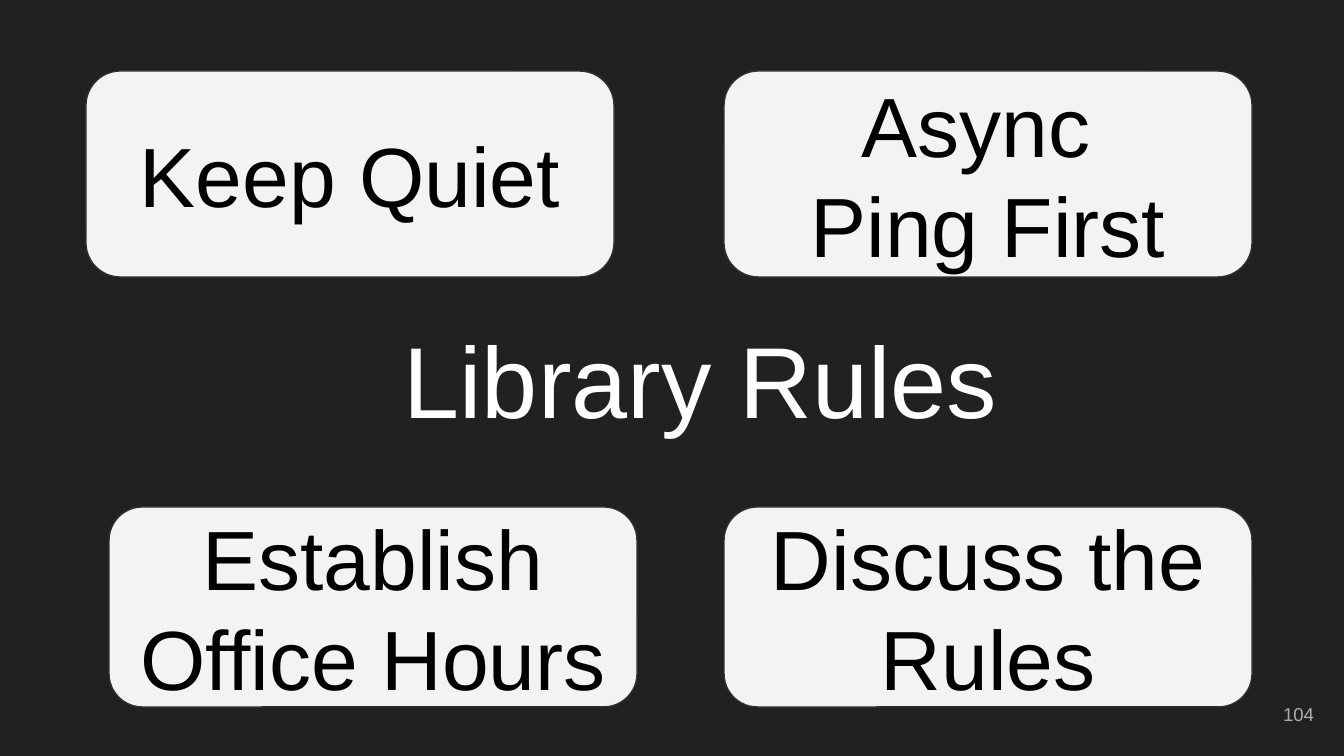
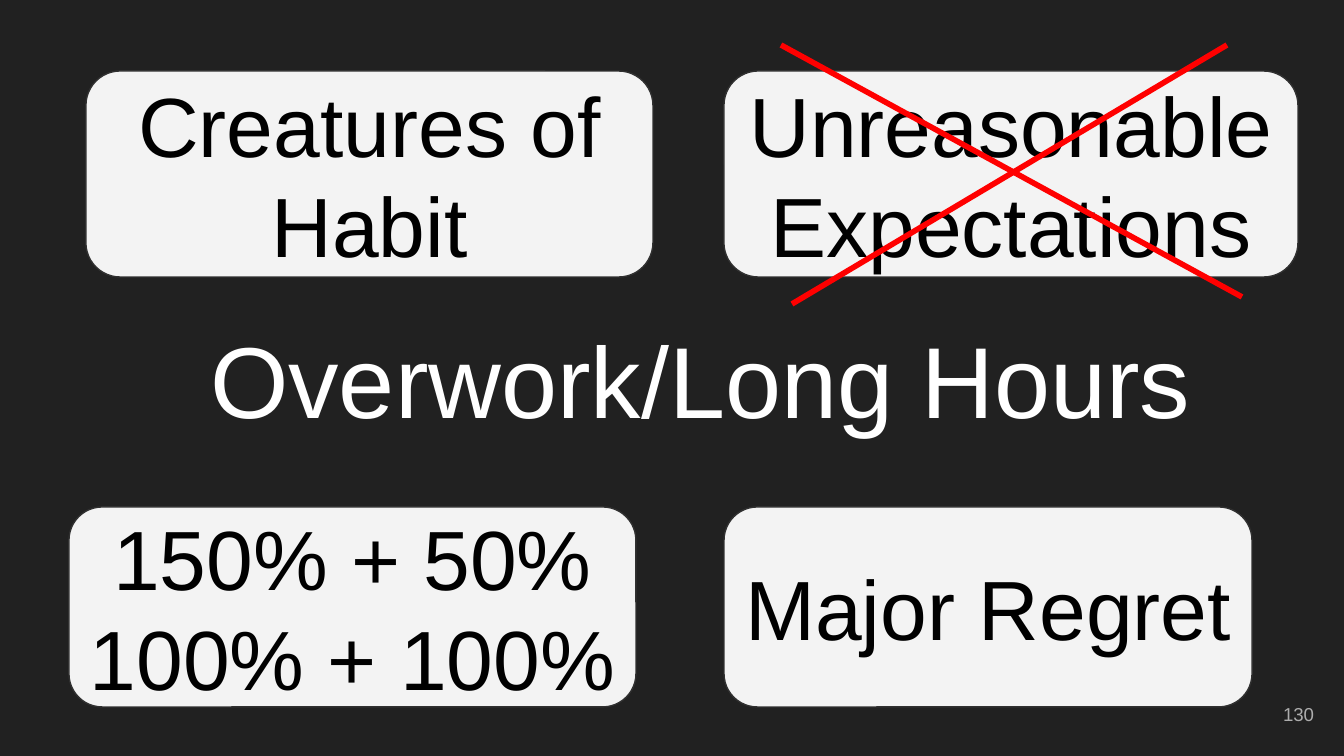
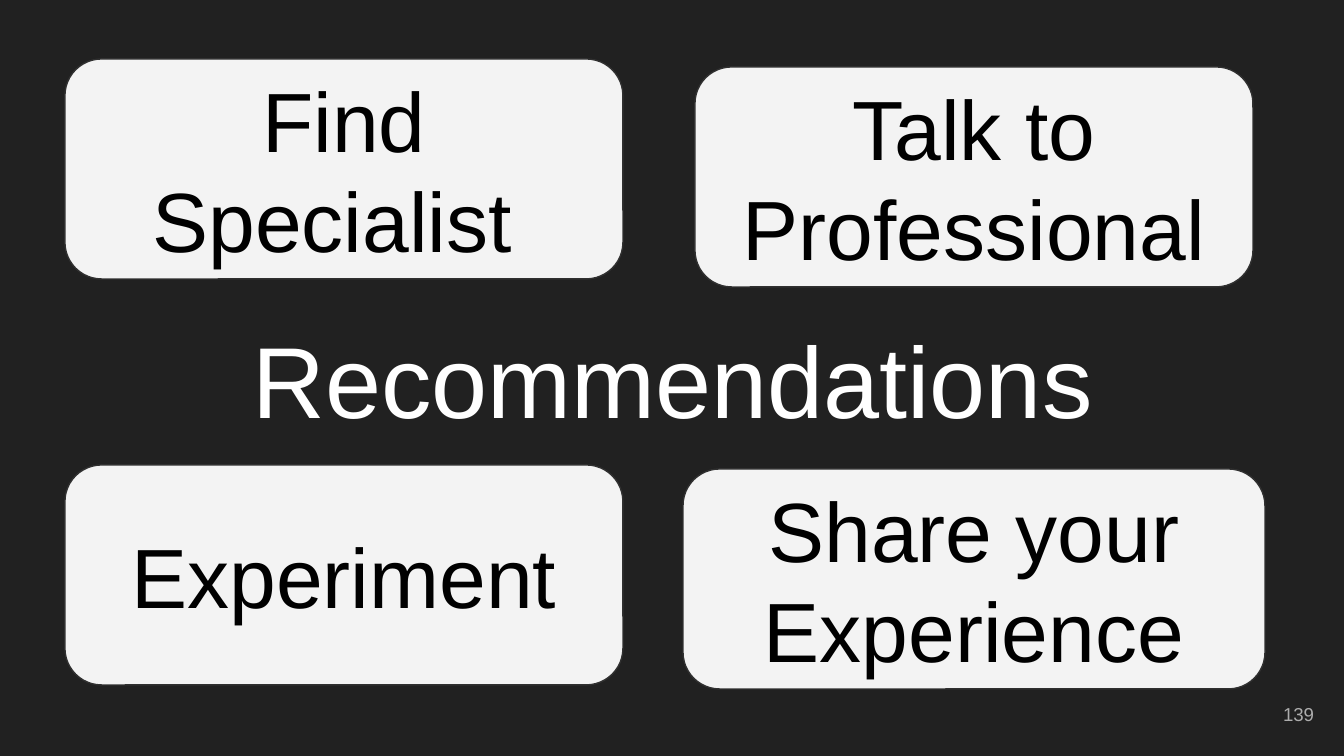
"""Build three dark slides, each a central title among four rounded cards."""

from dataclasses import dataclass

from pptx import Presentation
from pptx.dml.color import RGBColor
from pptx.enum.shapes import MSO_CONNECTOR, MSO_SHAPE
from pptx.enum.text import MSO_ANCHOR, PP_ALIGN
from pptx.oxml.ns import qn
from pptx.slide import Slide
from pptx.text.text import TextFrame
from pptx.util import Emu, Pt
from lxml import etree

ROUNDED = MSO_SHAPE.ROUNDED_RECTANGLE
STRAIGHT = MSO_CONNECTOR.STRAIGHT
MIDDLE = MSO_ANCHOR.MIDDLE
CENTER = PP_ALIGN.CENTER
RIGHT = PP_ALIGN.RIGHT

EMU_PER_PIXEL = 914400 / 134.4
SLIDE_WIDTH, SLIDE_HEIGHT = 1344, 756
BLANK_LAYOUT = 6
CARD_INSET, TEXT_INSET = 10, 13


@dataclass(frozen=True)
class Theme:
    font: str = "Arial"
    background: str = "212121"
    card_fill: str = "F3F3F3"
    card_line: str = "303030"
    card_text: str = "000000"
    title_text: str = "FFFFFF"
    number_text: str = "ADADAD"
    strike: str = "FF0000"
    card_size: int = 45
    title_size: int = 54
    number_size: int = 10
    card_line_width: float = 0.75
    strike_width: int = 3


@dataclass(frozen=True)
class Box:
    left: int
    top: int
    width: int
    height: int


@dataclass(frozen=True)
class Card:
    box: Box
    lines: tuple[str, ...]


@dataclass(frozen=True)
class Strike:
    start: tuple[int, int]
    end: tuple[int, int]


@dataclass(frozen=True)
class Page:
    title: str
    number: str
    cards: tuple[Card, ...]
    title_left: int = 74
    strikes: tuple[Strike, ...] = ()


THEME = Theme()
NUMBER_BOX = Box(1246, 685, 81, 58)
TITLE_TOP, TITLE_WIDTH, TITLE_HEIGHT = 316, 1253, 124

PAGES = (
    Page("Library Rules", "104", (
        Card(Box(86, 71, 528, 206), ("Keep Quiet",)),
        Card(Box(724, 71, 528, 206), ("Async ", "Ping First")),
        Card(Box(724, 507, 528, 200), ("Discuss the Rules",)),
        Card(Box(109, 507, 528, 200), ("Establish Office Hours",)),
    )),
    Page("Overwork/Long Hours", "130", (
        Card(Box(86, 71, 567, 206), ("Creatures of Habit",)),
        Card(Box(724, 71, 574, 206), ("Unreasonable Expectations",)),
        Card(Box(724, 507, 528, 200), ("Major Regret",)),
        Card(Box(69, 507, 567, 200), ("150% + 50%", "100% + 100%")),
    ), strikes=(
        Strike((781, 45), (1242, 297)),
        Strike((792, 304), (1227, 45)),
    )),
    Page("Recommendations", "139", (
        Card(Box(65, 59, 558, 220), ("Find Specialist ",)),
        Card(Box(695, 67, 558, 220), ("Talk to Professional",)),
        Card(Box(65, 465, 558, 220), ("Experiment",)),
        Card(Box(683, 469, 582, 220), ("Share your Experience",)),
    ), title_left=46),
)


def px(length: int) -> Emu:
    return Emu(round(length * EMU_PER_PIXEL))


def place(box: Box) -> tuple[Emu, ...]:
    return px(box.left), px(box.top), px(box.width), px(box.height)


def color(code: str) -> RGBColor:
    return RGBColor.from_string(code)


def write(frame: TextFrame, lines: tuple[str, ...], size: int, code: str,
          alignment: PP_ALIGN, inset: int) -> None:
    frame.word_wrap = True
    frame.vertical_anchor = MIDDLE
    frame.margin_left = frame.margin_right = px(inset)
    frame.margin_top = frame.margin_bottom = px(inset)
    for index, line in enumerate(lines):
        paragraph = frame.add_paragraph() if index else frame.paragraphs[0]
        paragraph.alignment = alignment
        run = paragraph.add_run()
        run.text = line
        run.font.name = THEME.font
        run.font.size = Pt(size)
        run.font.color.rgb = color(code)


def add_label(slide: Slide, box: Box, text: str, size: int, code: str,
              alignment: PP_ALIGN) -> None:
    shape = slide.shapes.add_textbox(*place(box))
    write(shape.text_frame, (text,), size, code, alignment, TEXT_INSET)


def add_card(slide: Slide, card: Card) -> None:
    shape = slide.shapes.add_shape(ROUNDED, *place(card.box))
    shape.shadow.inherit = False
    shape.fill.solid()
    shape.fill.fore_color.rgb = color(THEME.card_fill)
    shape.line.color.rgb = color(THEME.card_line)
    shape.line.width = Pt(THEME.card_line_width)
    write(shape.text_frame, card.lines, THEME.card_size, THEME.card_text, CENTER, CARD_INSET)


def add_strike(slide: Slide, strike: Strike) -> None:
    points = (px(length) for length in strike.start + strike.end)
    connector = slide.shapes.add_connector(STRAIGHT, *points)
    connector.line.color.rgb = color(THEME.strike)
    connector.line.width = Pt(THEME.strike_width)
    properties = connector.element.find(qn("p:spPr"))
    etree.SubElement(properties, qn("a:effectLst"))


def add_page(slide: Slide, page: Page) -> None:
    slide.background.fill.solid()
    slide.background.fill.fore_color.rgb = color(THEME.background)
    add_label(slide, NUMBER_BOX, page.number, THEME.number_size, THEME.number_text, RIGHT)
    for card in page.cards:
        add_card(slide, card)
    title_box = Box(page.title_left, TITLE_TOP, TITLE_WIDTH, TITLE_HEIGHT)
    add_label(slide, title_box, page.title, THEME.title_size, THEME.title_text, CENTER)
    for strike in page.strikes:
        add_strike(slide, strike)


def main() -> None:
    presentation = Presentation()
    presentation.slide_width = px(SLIDE_WIDTH)
    presentation.slide_height = px(SLIDE_HEIGHT)
    for page in PAGES:
        add_page(presentation.slides.add_slide(presentation.slide_layouts[BLANK_LAYOUT]), page)
    presentation.save("out.pptx")


if __name__ == "__main__":
    main()
